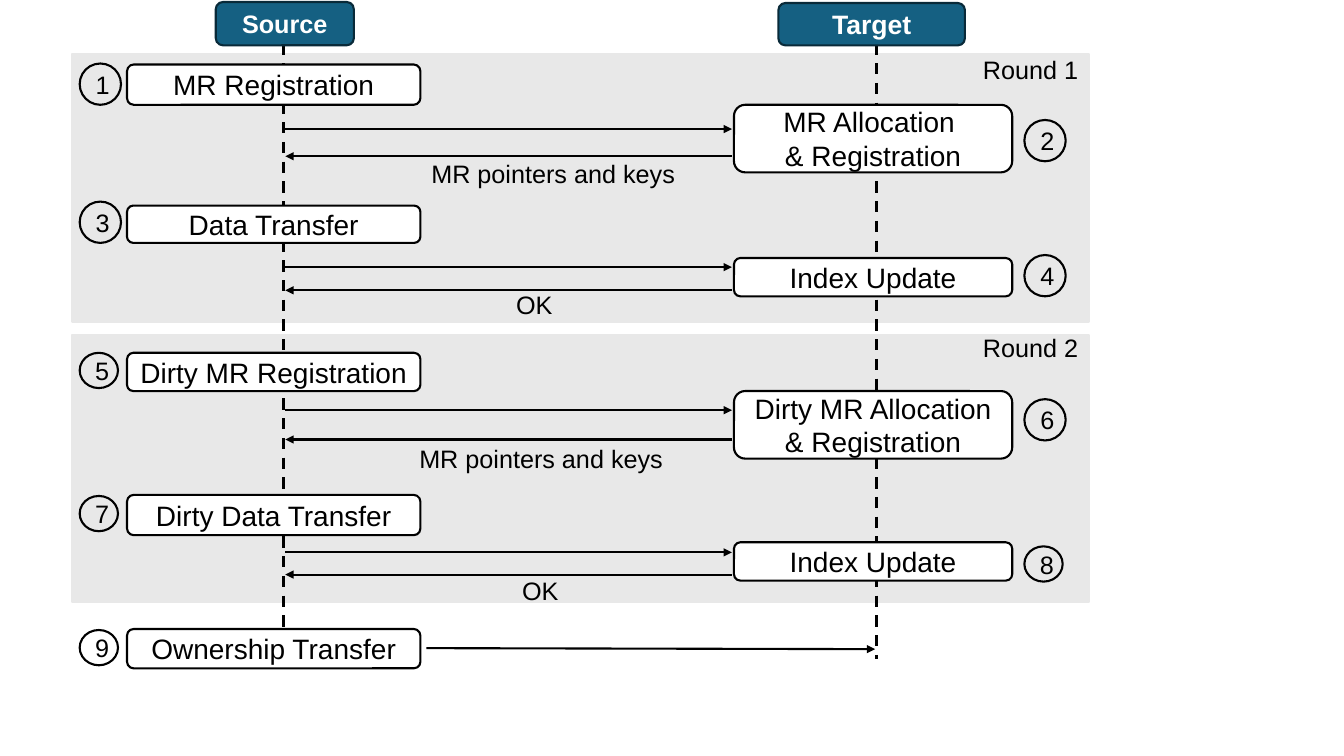
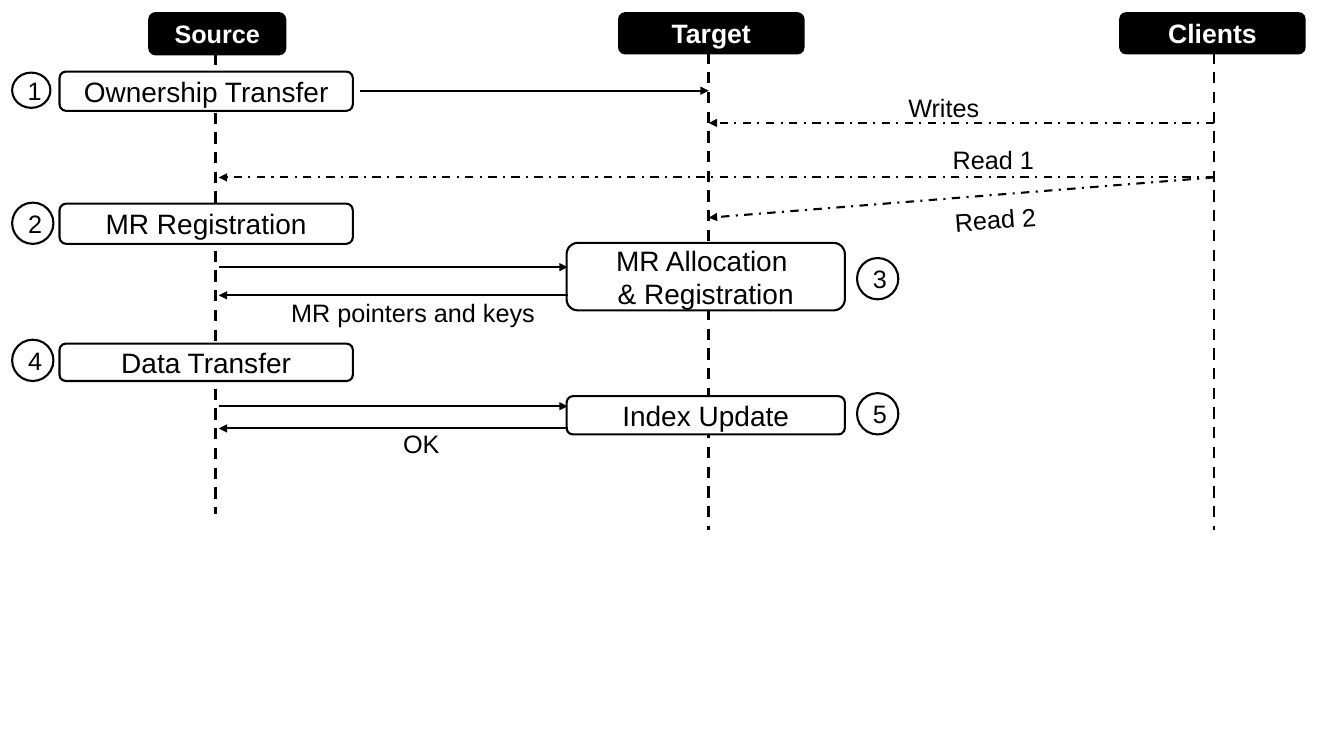
from typing import NamedTuple, Optional

from lxml.etree import SubElement
from pptx import Presentation
from pptx.dml.color import RGBColor
from pptx.enum.dml import MSO_LINE
from pptx.enum.shapes import MSO_CONNECTOR, MSO_SHAPE
from pptx.enum.text import MSO_ANCHOR, MSO_AUTO_SIZE, PP_ALIGN
from pptx.oxml.ns import qn
from pptx.shapes.autoshape import Shape
from pptx.slide import Slide
from pptx.text.text import TextFrame
from pptx.util import Inches, Pt

BLACK = RGBColor(0x00, 0x00, 0x00)
WHITE = RGBColor(0xFF, 0xFF, 0xFF)
TEAL = RGBColor(0x15, 0x60, 0x82)
DARK_TEAL = RGBColor(0x09, 0x2A, 0x39)
BAND_GREY = RGBColor(0xE8, 0xE8, 0xE8)

FONT = "Arial"
LABEL_SIZE = 18
STEP_SIZE = 20
LINE_WIDTH = 1.5
LIFELINE_WIDTH = 2


class Box(NamedTuple):
    left: float
    top: float
    width: float
    height: float


class Lane(NamedTuple):
    """A participant: its title box and the dashed lifeline below it."""
    title: str
    title_size: int
    title_box: Box
    x: float
    bottom: float


class Side(NamedTuple):
    """Where steps and their number badges sit, relative to a lifeline."""
    step_offset: float
    step_width: float
    badge_offset: float


class Step(NamedTuple):
    number: int
    text: str
    side: Side
    top: float
    height: float
    badge_top: float
    badge_size: tuple[float, float]


class Message(NamedTuple):
    start: tuple[float, float]
    end: tuple[float, float]
    dash: Optional[MSO_LINE] = None


class Label(NamedTuple):
    text: str
    left: float
    top: float
    width: float
    rotation: float = 0


SOURCE = Side(-1.55, 2.91, -2.02)
TARGET = Side(-1.41, 2.76, 1.47)
ROUND_BADGE = (0.41, 0.41)
SMALL_BADGE = (0.38, 0.35)
LABEL_HEIGHT = 0.4

ROUND_BANDS = [Box(0.71, top, 10.09, 2.65) for top in (0.54, 3.32)]

MIGRATION_LANES = [
    Lane("Source", 18, Box(2.14, 0.02, 1.37, 0.43), 2.81, 6.54),
    Lane("Target", 19, Box(7.72, 0.03, 1.85, 0.42), 8.69, 6.54),
]
MIGRATION_STEPS = [
    Step(1, "MR Registration", SOURCE, 0.64, 0.4, 0.63, ROUND_BADGE),
    Step(2, "MR Allocation \n& Registration", TARGET, 1.04, 0.67, 1.19, ROUND_BADGE),
    Step(3, "Data Transfer", SOURCE, 2.04, 0.37, 2.0, ROUND_BADGE),
    Step(4, "Index Update", TARGET, 2.56, 0.38, 2.53, ROUND_BADGE),
    Step(5, "Dirty MR Registration", SOURCE, 3.5, 0.38, 3.5, SMALL_BADGE),
    Step(6, "Dirty MR Allocation\n& Registration", TARGET, 3.88, 0.67, 3.96, ROUND_BADGE),
    Step(7, "Dirty Data Transfer", SOURCE, 4.91, 0.4, 4.92, SMALL_BADGE),
    Step(8, "Index Update", TARGET, 5.38, 0.38, 5.42, SMALL_BADGE),
    Step(9, "Ownership Transfer", SOURCE, 6.24, 0.39, 6.25, SMALL_BADGE),
]
MIGRATION_LABELS = [
    Label("MR pointers and keys", 4.18, 1.52, 2.96),
    Label("OK", 5.02, 2.82, 1.09),
    Label("MR pointers and keys", 4.06, 4.35, 2.62),
    Label("OK", 5.08, 5.66, 1.09),
    Label("Round 1", 9.65, 0.49, 1.16),
    Label("Round 2", 9.65, 3.25, 1.16),
]

CLIENT_LANES = [
    Lane("Source", 18, Box(1.47, 0.12, 1.37, 0.43), 2.14, 5.1),
    Lane("Target", 19, Box(6.13, 0.12, 1.85, 0.42), 7.03, 5.26),
    Lane("Clients", 19, Box(11.1, 0.12, 1.85, 0.42), 12.04, 5.26),
]
CLIENT_STEPS = [
    Step(1, "Ownership Transfer", SOURCE, 0.71, 0.39, 0.72, SMALL_BADGE),
    Step(2, "MR Registration", SOURCE, 2.02, 0.4, 2.01, ROUND_BADGE),
    Step(3, "MR Allocation \n& Registration", TARGET, 2.41, 0.67, 2.56, ROUND_BADGE),
    Step(4, "Data Transfer", SOURCE, 3.41, 0.37, 3.37, ROUND_BADGE),
    Step(5, "Index Update", TARGET, 3.93, 0.38, 3.9, ROUND_BADGE),
]
CLIENT_LABELS = [
    Label("OK", 3.9, 4.2, 1.09),
    Label("MR pointers and keys", 2.79, 2.9, 2.96),
    Label("Writes", 8.91, 0.87, 0.92),
    Label("Read 1", 9.35, 1.38, 1.15),
    Label("Read 2", 9.37, 1.97, 1.15, -4.4),
]


def exchanges(left: float, right: float,
              rows: list[tuple[float, float]]) -> list[Message]:
    """Pair a request to the right with a reply to the left for each row."""
    messages = []
    for request_y, reply_y in rows:
        messages.append(Message((left, request_y), (right, request_y)))
        messages.append(Message((right, reply_y), (left, reply_y)))
    return messages


MIGRATION_MESSAGES = exchanges(
    2.83, 7.26, [(1.28, 1.55), (2.65, 2.88), (4.07, 4.36), (5.48, 5.7)]
) + [Message((4.23, 6.43), (8.68, 6.44))]

CLIENT_MESSAGES = exchanges(2.17, 5.63, [(2.65, 2.93), (4.03, 4.25)]) + [
    Message((3.57, 0.9), (7.03, 0.9)),
    Message((12.04, 1.22), (7.03, 1.22), MSO_LINE.DASH_DOT),
    Message((12.04, 1.76), (2.17, 1.76), MSO_LINE.DASH_DOT),
    Message((12.04, 1.76), (7.03, 2.16), MSO_LINE.DASH_DOT),
]


def write_text(frame: TextFrame, text: str, size: int, color: RGBColor = BLACK,
               bold: bool = False, align: PP_ALIGN = PP_ALIGN.CENTER) -> None:
    frame.word_wrap = True
    frame.text = text
    for paragraph in frame.paragraphs:
        paragraph.alignment = align
        paragraph.font.name = FONT
        paragraph.font.size = Pt(size)
        paragraph.font.bold = bold
        paragraph.font.color.rgb = color


def add_outlined(slide: Slide, preset: MSO_SHAPE, box: Box,
                 fill: Optional[RGBColor], outline: Optional[RGBColor]) -> Shape:
    shape = slide.shapes.add_shape(preset, *(Inches(length) for length in box))
    shape.shadow.inherit = False
    if fill is None:
        shape.fill.background()
    else:
        shape.fill.solid()
        shape.fill.fore_color.rgb = fill
    if outline is None:
        shape.line.fill.background()
    else:
        shape.line.color.rgb = outline
        shape.line.width = Pt(LINE_WIDTH)
    shape.text_frame.vertical_anchor = MSO_ANCHOR.MIDDLE
    return shape


def add_line(slide: Slide, message: Message, width: float, arrow: bool) -> None:
    connector = slide.shapes.add_connector(
        MSO_CONNECTOR.STRAIGHT,
        *(Inches(length) for length in message.start + message.end))
    connector.line.color.rgb = BLACK
    connector.line.width = Pt(width)
    if message.dash is not None:
        connector.line.dash_style = message.dash
    properties = connector._element.spPr
    if arrow:
        SubElement(properties.find(qn("a:ln")), qn("a:tailEnd"), type="triangle")
    SubElement(properties, qn("a:effectLst"))


def add_lane(slide: Slide, lane: Lane, fill: RGBColor,
             outline: Optional[RGBColor]) -> None:
    title_bottom = lane.title_box.top + lane.title_box.height
    lifeline = Message((lane.x, title_bottom - 0.02), (lane.x, lane.bottom),
                       MSO_LINE.DASH)
    add_line(slide, lifeline, LIFELINE_WIDTH, arrow=False)
    title = add_outlined(slide, MSO_SHAPE.ROUNDED_RECTANGLE, lane.title_box,
                         fill, outline)
    write_text(title.text_frame, lane.title, lane.title_size, WHITE, bold=True)


def add_step(slide: Slide, step: Step, lane_x: float) -> None:
    """Draw a step on its lifeline with the number badge beside it."""
    side = step.side
    step_box = Box(lane_x + side.step_offset, step.top, side.step_width, step.height)
    action = add_outlined(slide, MSO_SHAPE.ROUNDED_RECTANGLE, step_box, WHITE, BLACK)
    write_text(action.text_frame, step.text, STEP_SIZE)
    badge_box = Box(lane_x + side.badge_offset, step.badge_top, *step.badge_size)
    badge = add_outlined(slide, MSO_SHAPE.OVAL, badge_box, None, BLACK)
    write_text(badge.text_frame, str(step.number), LABEL_SIZE)


def add_label(slide: Slide, label: Label) -> None:
    caption = slide.shapes.add_textbox(Inches(label.left), Inches(label.top),
                                       Inches(label.width), Inches(LABEL_HEIGHT))
    caption.rotation = label.rotation
    write_text(caption.text_frame, label.text, LABEL_SIZE, align=PP_ALIGN.LEFT)
    caption.text_frame.auto_size = MSO_AUTO_SIZE.SHAPE_TO_FIT_TEXT


def add_sequence(slide: Slide, lanes: list[Lane], steps: list[Step],
                 messages: list[Message], labels: list[Label],
                 title_fill: RGBColor, title_outline: Optional[RGBColor]) -> None:
    for lane in lanes:
        add_lane(slide, lane, title_fill, title_outline)
    lane_x = {SOURCE: lanes[0].x, TARGET: lanes[1].x}
    for step in steps:
        add_step(slide, step, lane_x[step.side])
    for message in messages:
        add_line(slide, message, LINE_WIDTH, arrow=True)
    for label in labels:
        add_label(slide, label)


def main() -> None:
    deck = Presentation()
    deck.slide_width = Inches(13.33)
    deck.slide_height = Inches(7.5)
    blank = deck.slide_layouts[6]

    migration = deck.slides.add_slide(blank)
    for band in ROUND_BANDS:
        add_outlined(migration, MSO_SHAPE.RECTANGLE, band, BAND_GREY, BAND_GREY)
    add_sequence(migration, MIGRATION_LANES, MIGRATION_STEPS, MIGRATION_MESSAGES,
                 MIGRATION_LABELS, TEAL, DARK_TEAL)

    client_access = deck.slides.add_slide(blank)
    add_sequence(client_access, CLIENT_LANES, CLIENT_STEPS, CLIENT_MESSAGES,
                 CLIENT_LABELS, BLACK, None)
    deck.save("out.pptx")


if __name__ == "__main__":
    main()
